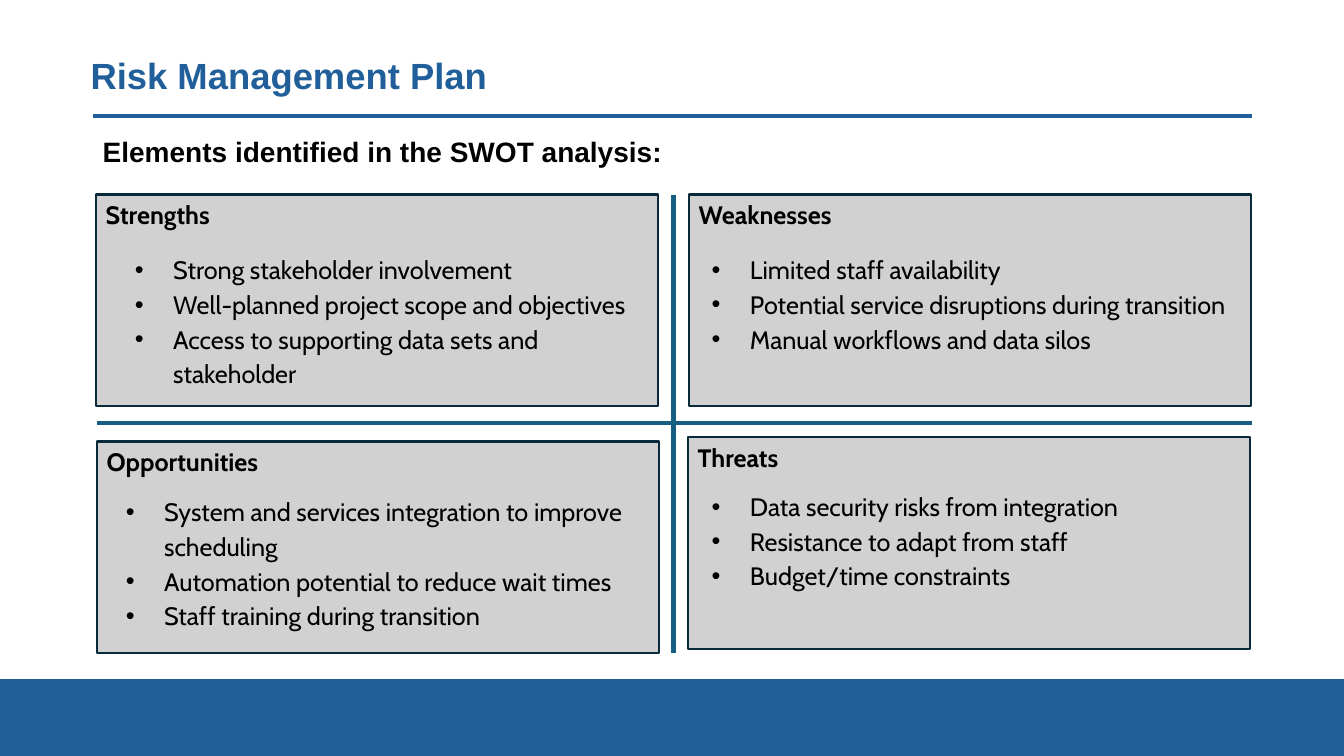
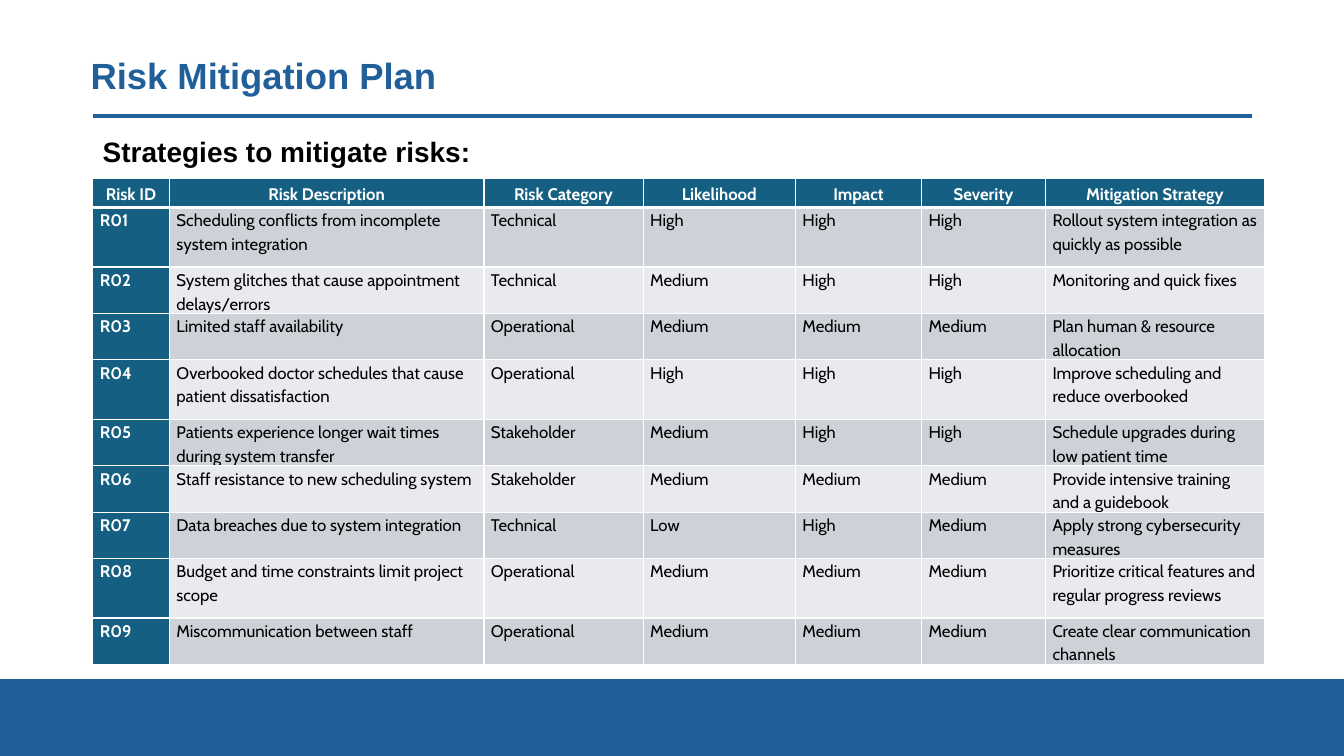
from dataclasses import dataclass
from typing import Any

from lxml import etree
from pptx import Presentation
from pptx.dml.color import RGBColor
from pptx.enum.shapes import MSO_CONNECTOR, MSO_SHAPE
from pptx.enum.text import MSO_ANCHOR, MSO_AUTO_SIZE, PP_ALIGN
from pptx.oxml.ns import qn
from pptx.util import Emu, Pt

PX = 9144  # EMU in one px, at 100 px to the inch
WIDE, HIGH = 1333, 750

BLUE = RGBColor(0x21, 0x5F, 0x9A)
TEAL = RGBColor(0x15, 0x60, 0x82)
NAVY = RGBColor(0x09, 0x2A, 0x39)
GREY = RGBColor(0xD1, 0xD1, 0xD1)
DARK = RGBColor(0xCC, 0xD2, 0xD8)
PALE = RGBColor(0xE8, 0xEA, 0xED)
BLACK = RGBColor(0, 0, 0)
WHITE = RGBColor(0xFF, 0xFF, 0xFF)

RECT = MSO_SHAPE.RECTANGLE
LINE = MSO_CONNECTOR.STRAIGHT
TOP, MID = MSO_ANCHOR.TOP, MSO_ANCHOR.MIDDLE
LEFT, CENTER = PP_ALIGN.LEFT, PP_ALIGN.CENTER
GROW = MSO_AUTO_SIZE.SHAPE_TO_FIT_TEXT


@dataclass(frozen=True)
class Style:
    name: str
    size: int
    color: RGBColor
    bold: bool = False


TITLE = Style("Arial", 26, BLUE, True)
LEAD = Style("Arial", 20, BLACK, True)
HEAD = Style("Cabin", 18, BLACK, True)
ITEM = Style("Cabin", 18, BLACK)
LABEL = Style("Cabin", 12, WHITE, True)
BODY = Style("Cabin", 12, BLACK)


@dataclass(frozen=True)
class Quad:
    """One SWOT box, with the place and lines of its list."""
    head: str
    at: tuple[int, int]
    list_at: tuple[int, int, int, int]
    items: tuple[str, ...]


QUADS = (
    Quad("Strengths", (95, 193), (124, 243, 530, 148), (
        "Strong stakeholder involvement",
        "Well-planned project scope and objectives",
        "Access to supporting data sets and stakeholder")),
    Quad("Opportunities", (96, 438), (115, 483, 517, 148), (
        "System and services integration to improve scheduling",
        "Automation potential to reduce wait times",
        "Staff training during transition")),
    Quad("Weaknesses", (683, 193), (696, 243, 545, 113), (
        "Limited staff availability",
        "Potential service disruptions during transition",
        "Manual workflows and data silos")),
    Quad("Threats", (682, 434), (696, 478, 494, 113), (
        "Data security risks from integration",
        "Resistance to adapt from staff",
        "Budget/time constraints")),
)
QUAD_W, QUAD_H = 558, 210

COLS = (76, 312, 158, 151, 125, 123, 217)
HEAD_H, ROW_H, TALL_H = 29, 44, 59
TALL = {1, 4, 8}
HEADS = ("Risk ID", "Risk Description", "Risk Category", "Likelihood",
         "Impact", "Severity", "Mitigation Strategy")
RISKS = (
    ("Scheduling conflicts from incomplete system integration",
     "Technical", "High", "High", "High",
     "Rollout system integration as quickly as possible"),
    ("System glitches that cause appointment delays/errors",
     "Technical", "Medium", "High", "High", "Monitoring and quick fixes"),
    ("Limited staff availability",
     "Operational", "Medium", "Medium", "Medium",
     "Plan human & resource allocation"),
    ("Overbooked doctor schedules that cause patient dissatisfaction",
     "Operational", "High", "High", "High",
     "Improve scheduling and reduce overbooked"),
    ("Patients experience longer wait times during system transfer",
     "Stakeholder", "Medium", "High", "High",
     "Schedule upgrades during low patient time"),
    ("Staff resistance to new scheduling system",
     "Stakeholder", "Medium", "Medium", "Medium",
     "Provide intensive training and a guidebook"),
    ("Data breaches due to system integration",
     "Technical", "Low", "High", "Medium",
     "Apply strong cybersecurity measures"),
    ("Budget and time constraints limit project scope",
     "Operational", "Medium", "Medium", "Medium",
     "Prioritize critical features and regular progress reviews"),
    ("Miscommunication between staff",
     "Operational", "Medium", "Medium", "Medium",
     "Create clear communication channels"),
)


def px(*vals: int) -> list[Emu]:
    return [Emu(val * PX) for val in vals]


def assign(target: Any, vals: dict[str, Any]) -> None:
    for key, val in vals.items():
        setattr(target, key, val)


def write(para: Any, text: str, style: Style, **form: Any) -> None:
    """Fill a paragraph with one styled run."""
    assign(para, form)
    run = para.add_run()
    run.text = text
    assign(run.font, {"name": style.name, "size": Pt(style.size),
                      "bold": style.bold})
    run.font.color.rgb = style.color


def add_text(slide: Any, at: tuple[int, int, int, int], **form: Any) -> Any:
    frame = slide.shapes.add_textbox(*px(*at)).text_frame
    assign(frame, {"word_wrap": True, **form})
    return frame


def add_rect(slide: Any, at: tuple[int, int, int, int],
             fill: RGBColor, edge: RGBColor) -> Any:
    rect = slide.shapes.add_shape(RECT, *px(*at))
    rect.shadow.inherit = False
    rect.fill.solid()
    rect.fill.fore_color.rgb = fill
    rect.line.color.rgb = edge
    rect.line.width = Pt(1.5)
    return rect


def add_rule(slide: Any, ends: tuple[int, int, int, int],
             color: RGBColor) -> None:
    rule = slide.shapes.add_connector(LINE, *px(*ends))
    rule.line.color.rgb = color
    rule.line.width = Pt(3)
    etree.SubElement(rule._element.spPr, qn("a:effectLst"))


def add_page(deck: Any, title: str, lead: str) -> Any:
    """Start a slide with the band, title, rule and lead line."""
    slide = deck.slides.add_slide(deck.slide_layouts[6])
    add_rect(slide, (0, 675, WIDE, 75), BLUE, BLUE)
    add_rule(slide, (92, 115, 1242, 115), BLUE)
    frame = add_text(slide, (80, 40, 1150, 75), vertical_anchor=MID)
    write(frame.paragraphs[0], title, TITLE, line_spacing=0.9)
    frame = add_text(slide, (92, 132, 1150, 44))
    write(frame.paragraphs[0], lead, LEAD, line_spacing=0.9)
    return slide


def add_bullet(para: Any) -> None:
    props = para._p.get_or_add_pPr()
    indent = 38 * PX
    props.set("marL", str(indent))
    props.set("indent", str(-indent))
    etree.SubElement(props, qn("a:buFont")).set("typeface", "Arial")
    etree.SubElement(props, qn("a:buChar")).set("char", "•")


def add_quad(slide: Any, quad: Quad) -> None:
    box = add_rect(slide, (*quad.at, QUAD_W, QUAD_H), GREY, NAVY)
    frame = box.text_frame
    assign(frame, {"vertical_anchor": TOP, "word_wrap": True})
    write(frame.paragraphs[0], quad.head, HEAD, alignment=LEFT)
    frame = add_text(slide, quad.list_at, auto_size=GROW)
    for num, item in enumerate(quad.items):
        para = frame.add_paragraph() if num else frame.paragraphs[0]
        add_bullet(para)
        write(para, item, ITEM, line_spacing=1.15)


def set_edges(cell: Any, widths: dict[str, int]) -> None:
    """Draw white cell borders, widths in points by side."""
    props = cell._tc.get_or_add_tcPr()
    for spot, (side, width) in enumerate(widths.items()):
        edge = etree.Element(qn(f"a:ln{side}"), w=str(Pt(width)))
        fill = etree.SubElement(edge, qn("a:solidFill"))
        etree.SubElement(fill, qn("a:srgbClr")).set("val", str(WHITE))
        props.insert(spot, edge)


def fill_cell(cell: Any, text: str, row: int, col: int) -> None:
    head = row == 0
    label = head or col == 0
    side, flat = px(7, 0)
    assign(cell, {"margin_left": side, "margin_right": side,
                  "margin_top": flat, "margin_bottom": flat,
                  "vertical_anchor": MID if head else TOP})
    cell.fill.solid()
    cell.fill.fore_color.rgb = TEAL if label else DARK if row % 2 else PALE
    set_edges(cell, {"L": 1, "R": 1, "T": 3 if row == 1 else 1,
                     "B": 3 if head else 1})
    write(cell.text_frame.paragraphs[0], text, LABEL if label else BODY,
          alignment=CENTER if head else LEFT, line_spacing=1.15,
          space_after=Pt(8))


def add_risks(slide: Any) -> None:
    rows = [HEADS, *((f"R{num:02}", *risk)
                     for num, risk in enumerate(RISKS, 1))]
    highs = [HEAD_H, *(TALL_H if num in TALL else ROW_H
                       for num in range(1, len(rows)))]
    grid = slide.shapes.add_table(
        len(rows), len(COLS), *px(92, 177, sum(COLS), sum(highs))).table
    assign(grid, {"first_col": True, "horz_banding": False})
    for col, wide in zip(grid.columns, px(*COLS)):
        col.width = wide
    for row, high in zip(grid.rows, px(*highs)):
        row.height = high
    for row, texts in enumerate(rows):
        for col, text in enumerate(texts):
            fill_cell(grid.cell(row, col), text, row, col)


def main() -> None:
    deck = Presentation()
    deck.slide_width, deck.slide_height = px(WIDE, HIGH)

    swot = add_page(deck, "Risk Management Plan",
                    "Elements identified in the SWOT analysis:")
    add_rule(swot, (668, 193, 668, 648), TEAL)
    add_rule(swot, (96, 420, 1242, 420), TEAL)
    for quad in QUADS:
        add_quad(swot, quad)

    plan = add_page(deck, "Risk Mitigation Plan",
                    "Strategies to mitigate risks:")
    add_risks(plan)

    deck.save("out.pptx")


if __name__ == "__main__":
    main()
